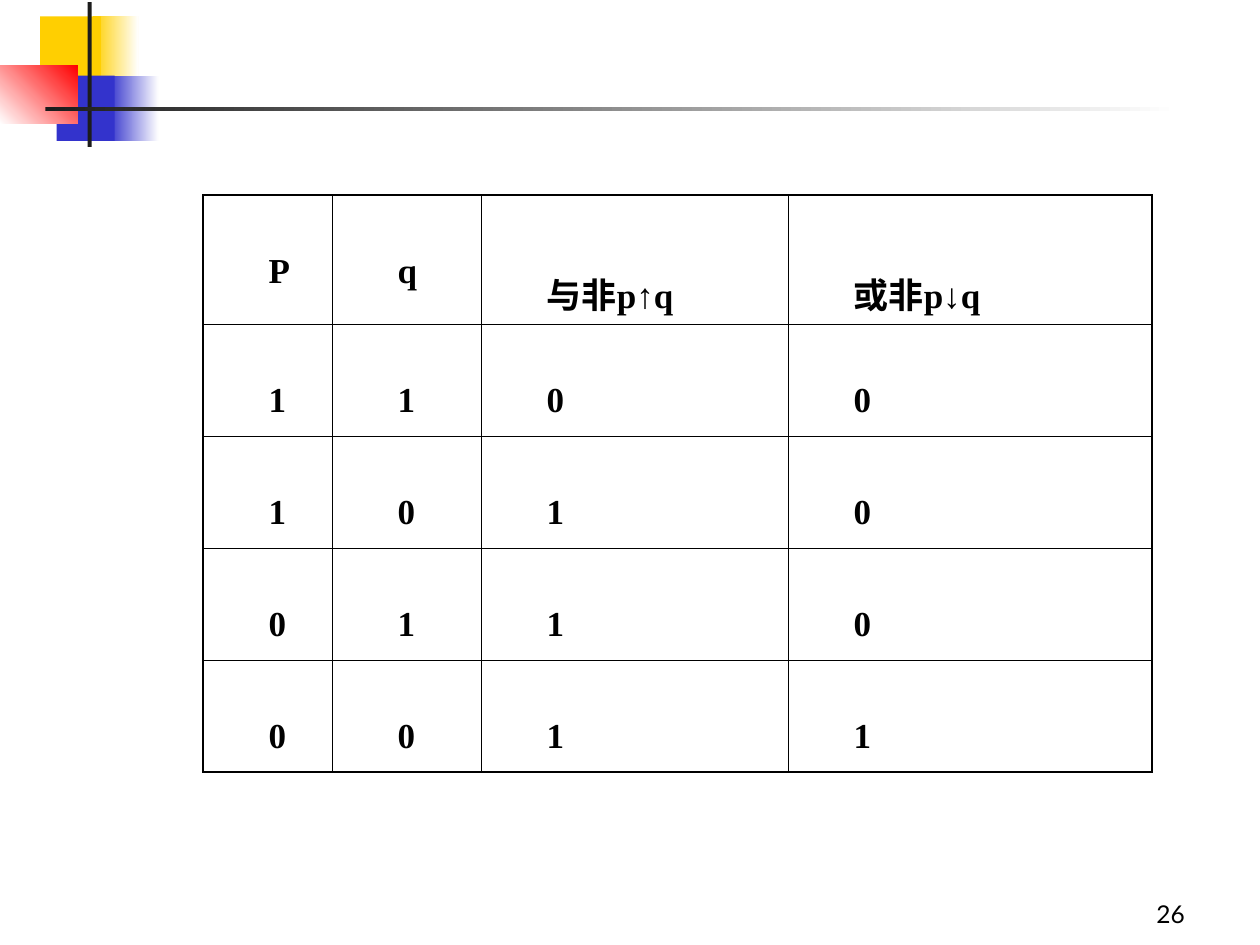
from lxml.etree import SubElement
from pptx import Presentation
from pptx.dml.color import RGBColor
from pptx.enum.shapes import MSO_SHAPE
from pptx.enum.text import MSO_ANCHOR, PP_ALIGN
from pptx.oxml.ns import qn
from pptx.util import Pt

BLACK, WHITE, DARK = "000000", "FFFFFF", "1C1C1C"
GOLD, BLUE, RED = "FFCF01", "3333CC", "FF0000"
THIN, THICK = 0.45, 1.08


def color(code):
    return RGBColor.from_string(code)


def write(frame, text, font="Lato", size=14, bold=False, align=None,
          lines=None, before=None, left=None):
    """Put one formatted paragraph in a text frame."""
    para = frame.paragraphs[0]
    para.alignment = align
    if lines:
        para.line_spacing = lines
    if before:
        para.space_before = Pt(before)
    if left:
        props = para._p.get_or_add_pPr()
        props.set("marL", str(Pt(left)))
        props.set("indent", "0")
    run = para.add_run()
    run.text = text
    run.font.name, run.font.size, run.font.bold = font, Pt(size), bold
    run.font.color.rgb = color(BLACK)


def edge(cell, side, width):
    """Draw one border of a table cell."""
    line = SubElement(cell._tc.get_or_add_tcPr(), qn(f"a:ln{side}"),
                      w=str(Pt(width)))
    fill = SubElement(line, qn("a:solidFill"))
    SubElement(fill, qn("a:srgbClr"), val=BLACK)


class Page:
    cell_style = dict(font="Times New Roman", size=20, bold=True,
                      lines=2.3, before=5, left=30.24)

    def __init__(self, deck):
        self.slide = deck.slides.add_slide(deck.slide_layouts[6])

    def block(self, x, y, w, h, first, last=None, angle=0):
        """Add a borderless block, solid or fading from first to last."""
        shape = self.slide.shapes.add_shape(
            MSO_SHAPE.RECTANGLE, Pt(x), Pt(y), Pt(w), Pt(h))
        shape.shadow.inherit = False
        shape.line.fill.background()
        if last is None:
            shape.fill.solid()
            shape.fill.fore_color.rgb = color(first)
            return
        shape.fill.gradient()
        shape.fill.gradient_angle = angle
        for stop, code in zip(shape.fill.gradient_stops, (first, last)):
            stop.color.rgb = color(code)

    def table(self, x, y, widths, height, rows):
        """Add a ruled table with heavier outer borders."""
        grid = self.slide.shapes.add_table(
            len(rows), len(widths), Pt(x), Pt(y),
            Pt(sum(widths)), Pt(height * len(rows))).table
        grid.first_row = grid.horz_banding = False
        for col, width in zip(grid.columns, widths):
            col.width = Pt(width)
        end_r, end_c = len(rows) - 1, len(widths) - 1
        for r, row in enumerate(rows):
            grid.rows[r].height = Pt(height)
            for c, text in enumerate(row):
                cell = grid.cell(r, c)
                outer = {"L": c == 0, "R": c == end_c,
                         "T": r == 0, "B": r == end_r}
                for side, heavy in outer.items():
                    edge(cell, side, THICK if heavy else THIN)
                cell.fill.background()
                write(cell.text_frame, text, **self.cell_style)

    def label(self, x, y, w, h, text, **form):
        """Add a text box that sits on its bottom edge."""
        frame = self.slide.shapes.add_textbox(
            Pt(x), Pt(y), Pt(w), Pt(h)).text_frame
        frame.word_wrap = True
        frame.vertical_anchor = MSO_ANCHOR.BOTTOM
        write(frame, text, **form)


def main():
    deck = Presentation()
    deck.slide_width, deck.slide_height = Pt(720), Pt(540)
    page = Page(deck)

    # Corner blocks and rules
    page.block(53.3, 9.4, 25.9, 37.4, GOLD, WHITE)
    page.block(61.9, 43.2, 28.8, 37.4, BLUE, WHITE)
    page.block(23, 9.4, 34.6, 37.4, GOLD)
    page.block(32.4, 43.2, 33.1, 37.4, BLUE)
    page.block(0, 37.2, 44.2, 33.4, WHITE, RED, angle=45)
    page.block(50, 1.2, 2.4, 82.8, DARK)
    page.block(26, 61.2, 648, 2.5, DARK, WHITE)

    # Truth table
    rows = [("P", "q", "与非p↑q", "或非p↓q")]
    for p, q in ((1, 1), (1, 0), (0, 1), (0, 0)):
        nand, nor = int(not (p and q)), int(not (p or q))
        rows.append([str(bit) for bit in (p, q, nand, nor)])
    page.table(116.1, 111.4, (73.7, 85.2, 175.4, 208), 64, rows)

    # Page number
    page.label(534.2, 498.2, 150, 36, "26", align=PP_ALIGN.RIGHT)

    deck.save("out.pptx")


if __name__ == "__main__":
    main()
